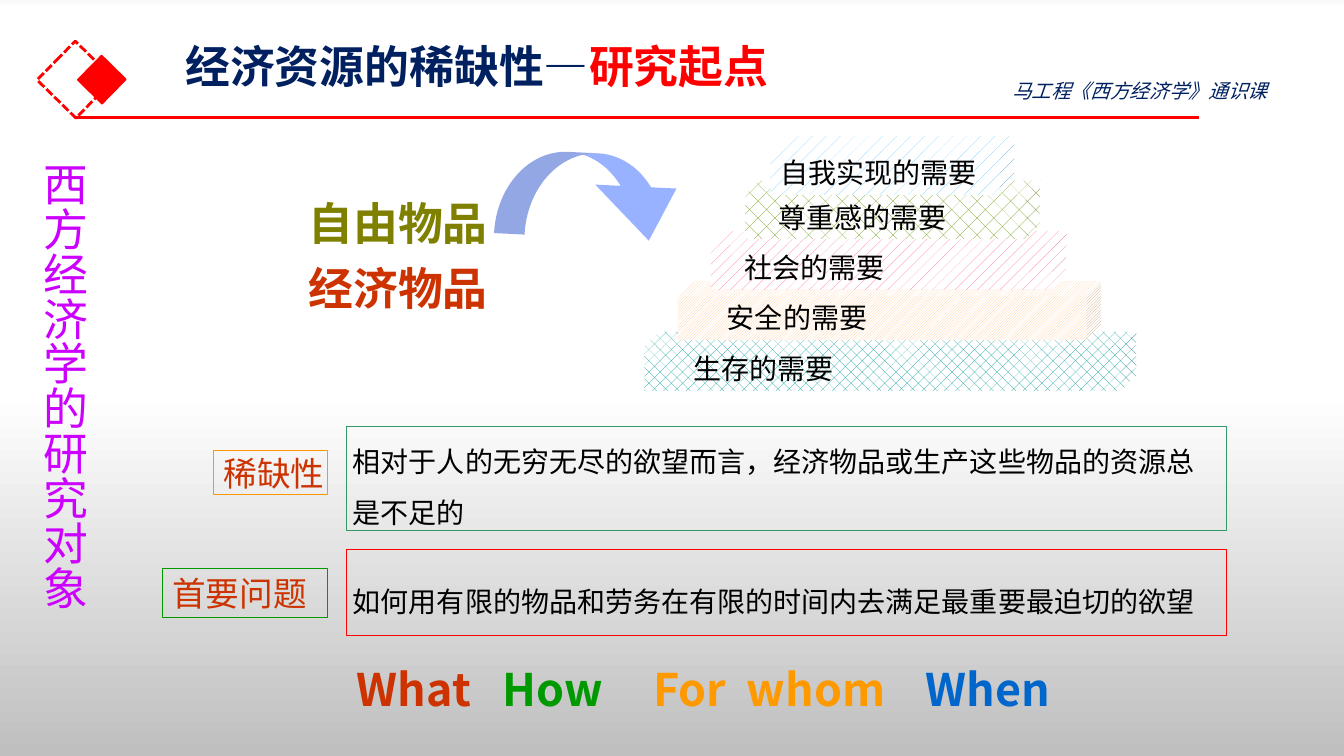
from lxml import etree
from pptx import Presentation
from pptx.dml.color import RGBColor
from pptx.enum.dml import MSO_LINE, MSO_PATTERN
from pptx.enum.shapes import MSO_CONNECTOR, MSO_SHAPE
from pptx.enum.text import MSO_ANCHOR, PP_ALIGN
from pptx.oxml import parse_xml
from pptx.oxml.ns import nsdecls, qn
from pptx.util import Inches, Pt

RECT, CUBE, ARROW = MSO_SHAPE.RECTANGLE, MSO_SHAPE.CUBE, MSO_SHAPE.CURVED_UP_ARROW
TOP, MID = MSO_ANCHOR.TOP, MSO_ANCHOR.MIDDLE
LEFT, CENTER, JUST = PP_ALIGN.LEFT, PP_ALIGN.CENTER, PP_ALIGN.JUSTIFY
DASH = MSO_LINE.SQUARE_DOT
NOTO, NOTO_JP = "Noto Sans CJK SC", "Noto Sans CJK JP"
INSET = (0.1, 0.05, 0.1, 0.05)
COLORS = {
    "red": "FF0000", "navy": "002060", "black": "000000", "white": "FFFFFF",
    "olive": "808000", "rust": "CC3300", "jade": "339966", "orange": "FF9900",
    "green": "009900", "blue": "0066CC", "purple": "CC00FF", "arrow": "3366FF",
    "teal": "009999", "peach": "FFCC99", "pink": "FF6699", "grass": "669900",
    "sky": "66CCFF", "haze": "F9F9F9", "gray": "BFBFBF",
}
# left, top, width, pattern, colour, side inset, label; bottom step first
NEEDS = [
    (6.39, 3.29, 4.88, MSO_PATTERN.PERCENT_25, "teal", 0.49, "生存的需要"),
    (6.72, 2.79, 4.2, MSO_PATTERN.LIGHT_UPWARD_DIAGONAL, "peach", 0.49, "安全的需要"),
    (7.05, 2.29, 3.53, MSO_PATTERN.PERCENT_10, "pink", 0.33, "社会的需要"),
    (7.39, 1.79, 2.93, MSO_PATTERN.DOTTED_DIAMOND, "grass", 0.33, "尊重感的需要"),
    (7.64, 1.35, 2.42, MSO_PATTERN.PERCENT_5, "sky", 0.1, "自我实现的需要"),
]


def rgb(name):
    return RGBColor.from_string(COLORS[name])


def paint(slide):
    """Fill the background with a vertical gradient."""
    stops = [(0, "haze"), (1, "white"), (52, "white"), (100, "gray")]
    marks = "".join(
        f'<a:gs pos="{pos * 1000}"><a:srgbClr val="{COLORS[name]}"/></a:gs>'
        for pos, name in stops)
    fill = slide.background.fill
    fill.solid()
    old = slide.element.find(".//" + qn("p:bgPr")).find(qn("a:solidFill"))
    grad = parse_xml(f'<a:gradFill {nsdecls("a")} rotWithShape="1"><a:gsLst>{marks}'
                     '</a:gsLst><a:lin ang="5400000" scaled="0"/></a:gradFill>')
    old.getparent().replace(old, grad)


def write(shape, paras, size, font, bold=False, slant=False, align=LEFT,
          space=None, anchor=MID, inset=INSET, wrap=True):
    """Each paragraph is a list of (text, colour) runs."""
    frame = shape.text_frame
    frame.word_wrap = wrap
    frame.vertical_anchor = anchor
    (frame.margin_left, frame.margin_top,
     frame.margin_right, frame.margin_bottom) = map(Inches, inset)
    for num, runs in enumerate(paras):
        para = frame.add_paragraph() if num else frame.paragraphs[0]
        para.alignment = align
        if space:
            para.line_spacing = space
        for words, color in runs:
            run = para.add_run()
            run.text = words
            run.font.size = Pt(size)
            run.font.bold = bold
            run.font.italic = slant
            run.font.color.rgb = rgb(color)
            run.font.name = font
            east = etree.SubElement(run.font._element, qn("a:ea"))
            east.set("typeface", font)
    return frame


def label(slide, box, paras, size, font, **style):
    shape = slide.shapes.add_textbox(*map(Inches, box))
    return write(shape, paras, size, font, **style)


def draw(slide, kind, box, fill=None, line=None, width=0.75, turn=0):
    shape = slide.shapes.add_shape(kind, *map(Inches, box))
    shape.shadow.inherit = False
    shape.rotation = turn
    if fill:
        shape.fill.solid()
        shape.fill.fore_color.rgb = rgb(fill)
    else:
        shape.fill.background()
    if line:
        shape.line.color.rgb = rgb(line)
        shape.line.width = Pt(width)
    else:
        shape.line.fill.background()
    return shape


def flip(shape, axis):
    shape._element.spPr.find(qn("a:xfrm")).set(axis, "1")


def rule(slide, start, end, color, width):
    line = slide.shapes.add_connector(
        MSO_CONNECTOR.STRAIGHT, *map(Inches, start + end))
    line.line.color.rgb = rgb(color)
    line.line.width = Pt(width)
    etree.SubElement(line._element.spPr, qn("a:effectLst"))


def step(slide, left, top, width, pattern, color, side, words):
    cube = draw(slide, CUBE, (left, top, width, 0.58))
    cube.fill.patterned()
    cube.fill.pattern = pattern
    cube.fill.fore_color.rgb = rgb(color)
    cube.fill.back_color.rgb = rgb("white")
    write(cube, [[(words, "black")]], 20, "Calibri", align=JUST,
          inset=(side, 0.05, side, 0.05))


def swoop(slide):
    arrow = draw(slide, ARROW, (4.92, 1.52, 1.94, 0.84), "arrow", turn=182.8)
    flip(arrow, "flipH")
    for num, value in enumerate((0.36, 0.96, 0.63)):
        arrow.adjustments[num] = value
    tone = arrow._element.spPr.find(".//" + qn("a:srgbClr"))
    etree.SubElement(tone, qn("a:alpha")).set("val", "50000")


def tabs(para, stops):
    props = para._p.get_or_add_pPr()
    group = etree.SubElement(props, qn("a:tabLst"))
    for stop in stops:
        tab = etree.SubElement(group, qn("a:tab"))
        tab.set("pos", str(Inches(stop)))
        tab.set("algn", "l")


def main():
    deck = Presentation()
    deck.slide_width, deck.slide_height = Inches(13.33), Inches(7.5)
    slide = deck.slides.add_slide(deck.slide_layouts[6])
    paint(slide)

    # Header
    frame = draw(slide, RECT, (0.48, 0.52, 0.54, 0.54), line="red", width=2, turn=314.5)
    frame.line.dash_style = DASH
    flip(frame, "flipV")
    draw(slide, RECT, (0.84, 0.62, 0.34, 0.34), "red", "red", 1, 314.5)
    rule(slide, (0.75, 1.17), (11.89, 1.17), "red", 2.25)
    label(slide, (1.74, 0.41, 11.5, 0.95),
          [[("经济资源的稀缺性—", "navy"), ("研究起点", "red")]], 32, NOTO,
          bold=True, space=0.9, anchor=TOP, inset=(0.1, 0.03, 0.1, 0.05))
    label(slide, (9.94, 0.73, 3.24, 0.34), [[("马工程《西方经济学》通识课", "navy")]],
          14, NOTO, slant=True, anchor=TOP)

    # Goods and the ladder of needs
    for need in NEEDS:
        step(slide, *need)
    label(slide, (2.9, 1.89, 2.1, 1.17),
          [[("自由物品", "olive")], [("经济物品", "rust")]], 32, NOTO,
          bold=True, align=CENTER, space=1.2, inset=(0, 0.05, 0, 0.05))
    swoop(slide)

    # Terms and their meanings
    for box, line, words in [((2.12, 4.47, 1.13, 0.44), "orange", "稀缺性"),
                             ((1.61, 5.64, 1.64, 0.49), "green", "首要问题")]:
        term = draw(slide, RECT, box, line=line)
        write(term, [[(words, "rust")]], 24, NOTO, wrap=False)
    for top, high, line, align, words in [
            (4.23, 1.03, "jade", LEFT,
             "相对于人的无穷无尽的欲望而言，经济物品或生产这些物品的资源总是不足的"),
            (5.45, 0.86, "red", JUST,
             "如何用有限的物品和劳务在有限的时间内去满足最重要最迫切的欲望")]:
        panel = draw(slide, RECT, (3.44, top, 8.73, high), line=line)
        write(panel, [[(words, "black")]], 20, "Arial", align=align,
              space=1.5, inset=(0.06, 0.05, 0.06, 0.05))

    # Key questions
    asks = label(slide, (3.44, 6.67, 7.2, 0.33),
                 [[("What\t", "rust"), ("How\t", "green"),
                   ("For\twhom\t", "orange"), ("When", "blue")]],
                 32, NOTO_JP, bold=True)
    tabs(asks.paragraphs[0], (1.45, 2.94, 3.87, 5.64))

    # Side heading
    side = label(slide, (0.21, 1.51, 0.74, 4.99), [[("西方经济学的研究对象", "purple")]],
                 32, NOTO, anchor=TOP)
    side._txBody.bodyPr.set("vert", "eaVert")
    deck.save("out.pptx")


if __name__ == "__main__":
    main()
